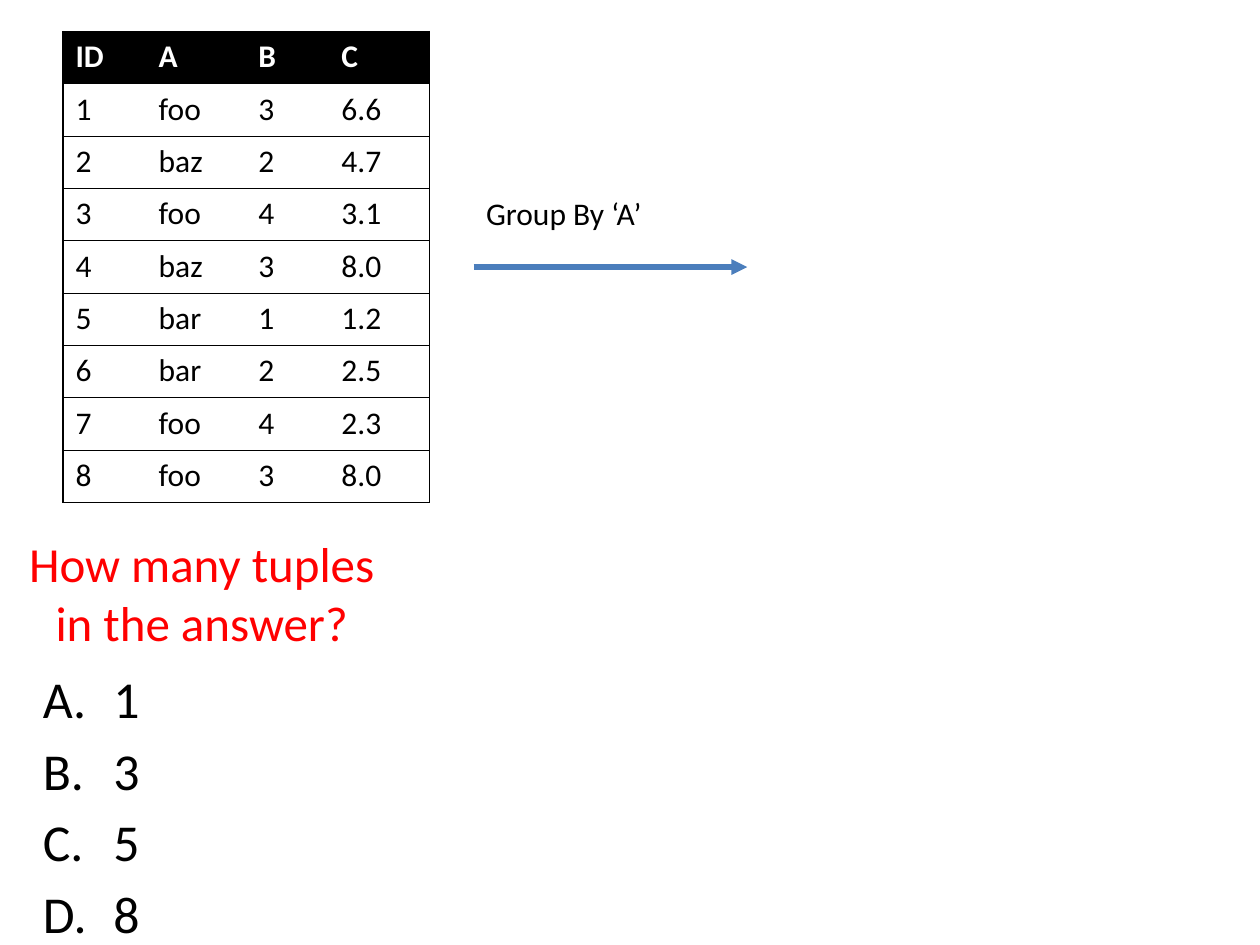
from lxml import etree
from pptx import Presentation
from pptx.dml.color import RGBColor
from pptx.enum import shapes, text
from pptx.oxml import ns
from pptx.util import Inches, Pt

BLACK = RGBColor(0x00, 0x00, 0x00)
WHITE = RGBColor(0xFF, 0xFF, 0xFF)
RED = RGBColor(0xFF, 0x00, 0x00)
BLUE = RGBColor(0x4B, 0x7E, 0xBC)
FONT = "Calibri"
NO_STYLE_NO_GRID = "{2D5ABB26-0587-4C30-8999-92F81FD0307C}"

ROWS = [
    ("ID", "A", "B", "C"),
    ("1", "foo", "3", "6.6"),
    ("2", "baz", "2", "4.7"),
    ("3", "foo", "4", "3.1"),
    ("4", "baz", "3", "8.0"),
    ("5", "bar", "1", "1.2"),
    ("6", "bar", "2", "2.5"),
    ("7", "foo", "4", "2.3"),
    ("8", "foo", "3", "8.0"),
]
COLUMN_WIDTHS = [0.66, 0.79, 0.66, 0.8]
ROW_HEIGHT = 3.74 / len(ROWS)
ANSWERS = ["1", "3", "5", "8"]


def set_font(paragraph, size, color, bold=False):
    font = paragraph.font
    font.name, font.size, font.bold = FONT, Pt(size), bold
    font.color.rgb = color


def add_border(cell, side):
    """Draw one edge of a cell; side is L, R, T or B."""
    line = etree.SubElement(cell._tc.get_or_add_tcPr(), ns.qn(f"a:ln{side}"), w=str(Pt(0.75)))
    fill = etree.SubElement(line, ns.qn("a:solidFill"))
    etree.SubElement(fill, ns.qn("a:srgbClr"), val=str(BLACK))


presentation = Presentation()
presentation.slide_width, presentation.slide_height = Inches(10), Inches(7.5)
slide = presentation.slides.add_slide(presentation.slide_layouts[1])

# Question
title = slide.shapes.title
title.left, title.top = Inches(0), Inches(4.29)
title.width, title.height = Inches(3.2), Inches(0.82)
title.text_frame.text = "How many tuples in the answer?"
title.text_frame.auto_size = text.MSO_AUTO_SIZE.NONE
title.text_frame.vertical_anchor = text.MSO_ANCHOR.MIDDLE
title.text_frame.paragraphs[0].alignment = text.PP_ALIGN.CENTER
set_font(title.text_frame.paragraphs[0], 28, RED)

# Lettered answers
body = slide.placeholders[1]
body.left, body.top = Inches(0.24), Inches(5.24)
body.width, body.height = Inches(4.5), Inches(2.26)
body.text_frame.text = "\n".join(ANSWERS)
body.text_frame.auto_size = text.MSO_AUTO_SIZE.NONE
for index, paragraph in enumerate(body.text_frame.paragraphs):
    properties = paragraph._p.get_or_add_pPr()
    properties.set("marL", str(Inches(0.56)))
    properties.set("indent", str(Inches(-0.56)))
    etree.SubElement(properties, ns.qn("a:buFont"), typeface="+mj-lt")
    etree.SubElement(properties, ns.qn("a:buAutoNum"), type="alphaUcPeriod")
    paragraph.space_before = Pt(5.5 if index else 0)
    set_font(paragraph, 29.6, BLACK)

# Source table
table_frame = slide.shapes.add_table(
    len(ROWS), len(COLUMN_WIDTHS), Inches(0.5), Inches(0.25),
    Inches(sum(COLUMN_WIDTHS)), Inches(ROW_HEIGHT * len(ROWS)))
table = table_frame.table
table.horz_banding = False
table._tbl.tblPr.find(ns.qn("a:tableStyleId")).text = NO_STYLE_NO_GRID
for column, width in zip(table.columns, COLUMN_WIDTHS):
    column.width = Inches(width)
for row_index, values in enumerate(ROWS):
    table.rows[row_index].height = Inches(ROW_HEIGHT)
    is_header = row_index == 0
    for column_index, value in enumerate(values):
        cell = table.cell(row_index, column_index)
        cell.text = value
        set_font(cell.text_frame.paragraphs[0], 18, WHITE if is_header else BLACK, is_header)
        if column_index == 0:
            add_border(cell, "L")
        if column_index == len(values) - 1:
            add_border(cell, "R")
        add_border(cell, "T")
        add_border(cell, "B")
        if is_header:
            cell.fill.solid()
            cell.fill.fore_color.rgb = BLACK
        else:
            cell.fill.background()

# Group-by step
label = slide.shapes.add_textbox(Inches(3.76), Inches(1.49), Inches(1.96), Inches(0.4))
label.text_frame.word_wrap = True
label.text_frame.auto_size = text.MSO_AUTO_SIZE.SHAPE_TO_FIT_TEXT
label.text_frame.text = "Group By ‘A’"
set_font(label.text_frame.paragraphs[0], 18, BLACK)

arrow = slide.shapes.add_connector(
    shapes.MSO_CONNECTOR.STRAIGHT, Inches(3.76), Inches(2.12), Inches(5.93), Inches(2.12))
arrow.line.color.rgb = BLUE
arrow.line.width = Pt(3)
etree.SubElement(arrow.line._get_or_add_ln(), ns.qn("a:tailEnd"), type="triangle")
etree.SubElement(arrow._element.spPr, ns.qn("a:effectLst"))

presentation.save("out.pptx")
